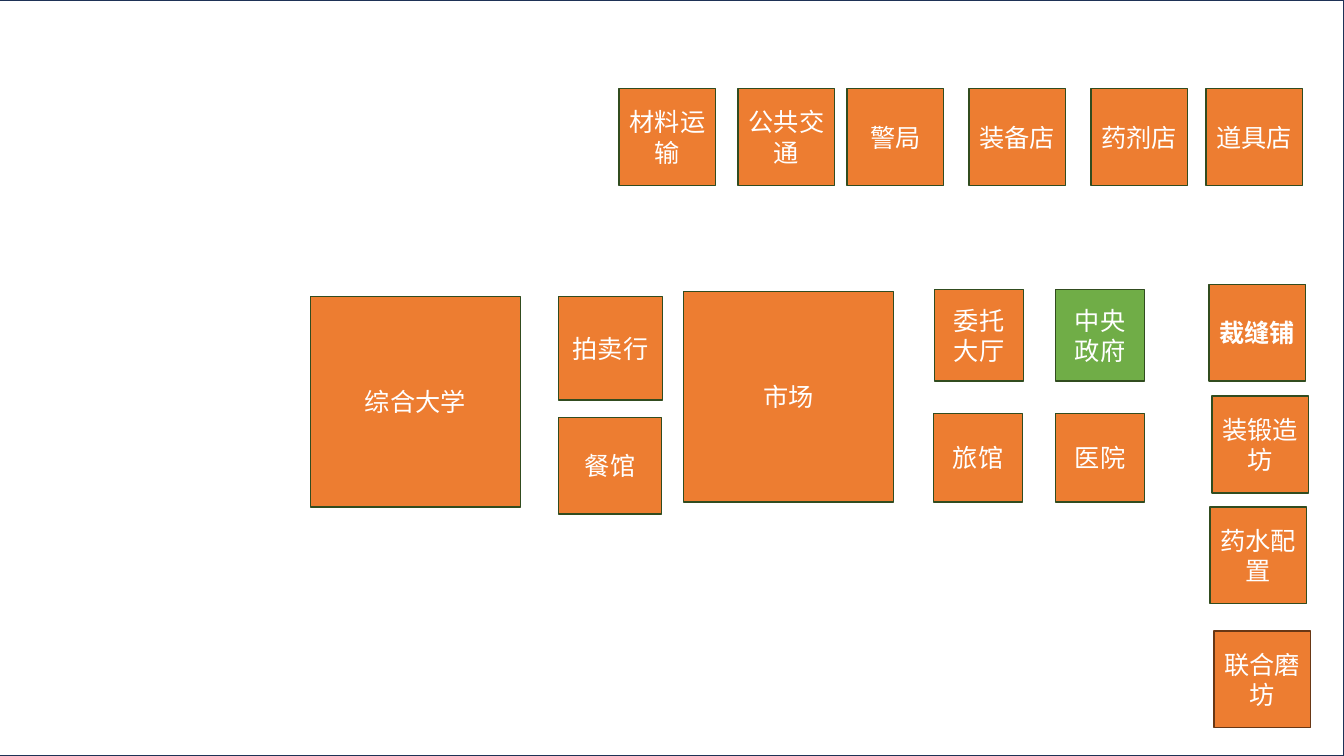
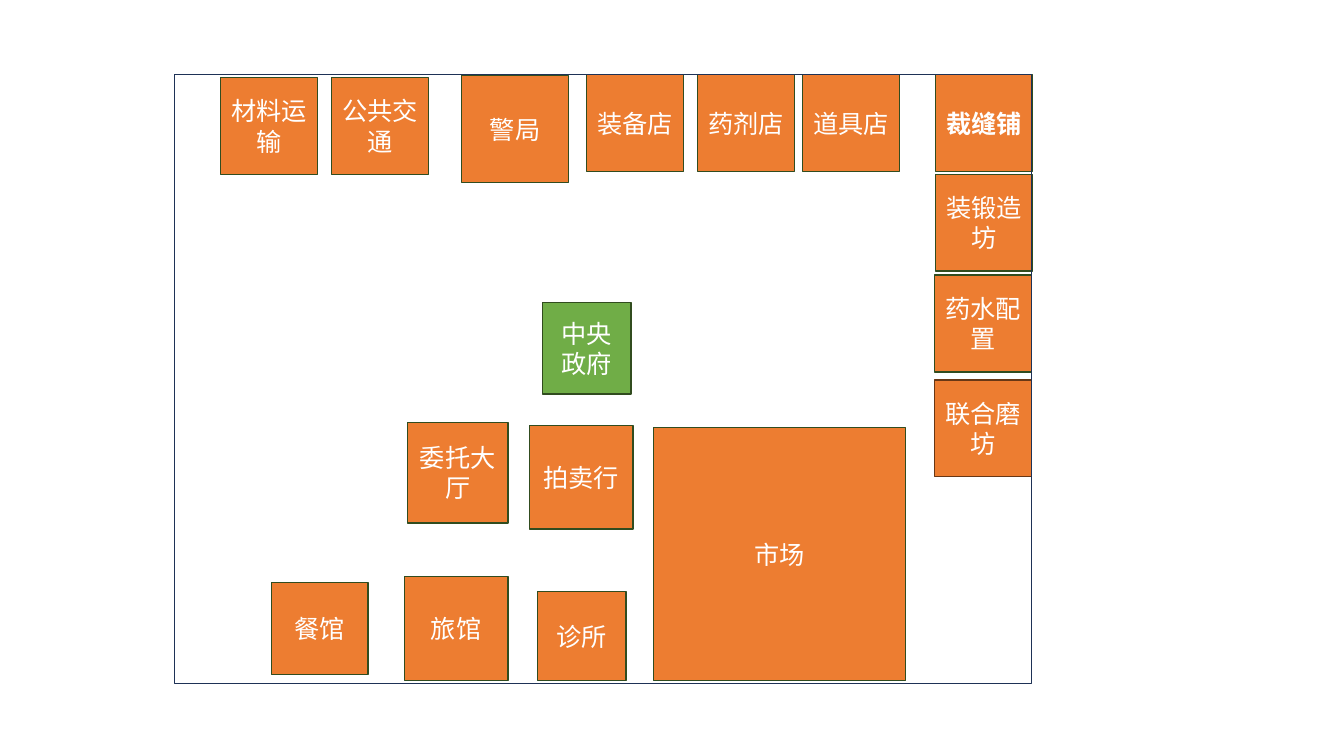
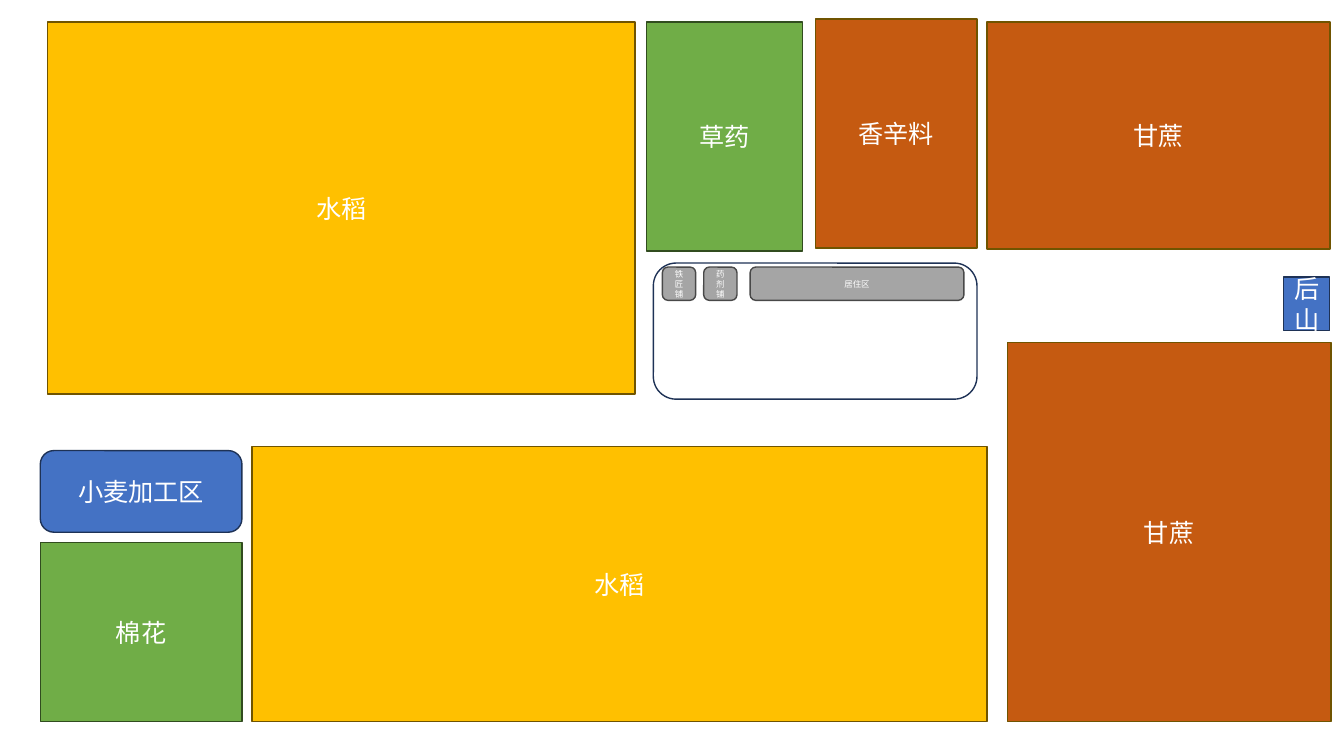
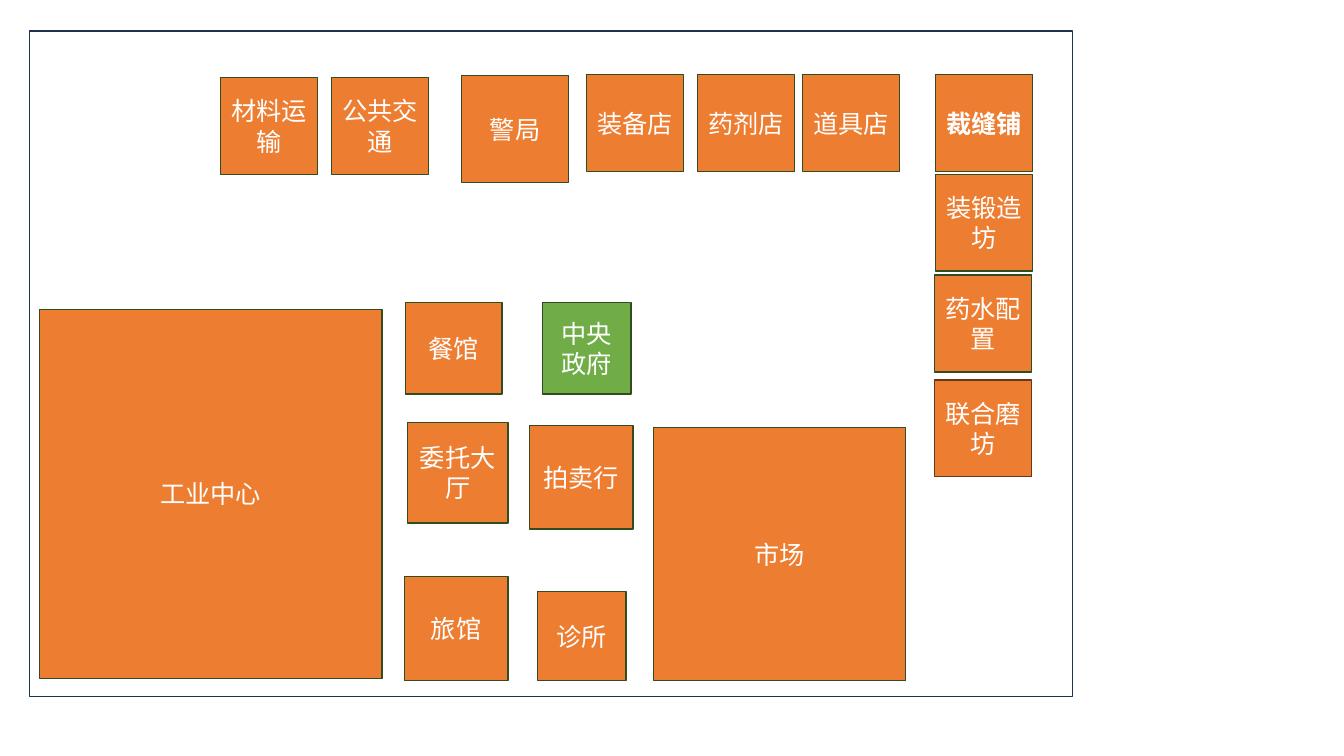
from pptx import Presentation, util as u
from pptx.dml.color import RGBColor
from pptx.enum import shapes, text
from pptx.oxml.ns import qn

FONT = "Noto Sans CJK SC"
SIDE = 0.96
COLORS = {
    "white": "FFFFFF",
    "orange": "ED7D31",
    "green": "70AD47",
    "gold": "FFC000",
    "rust": "C55A11",
    "blue": "4472C4",
    "gray": "A5A5A5",
    "pine": "314C1F",
    "brown": "683715",
    "olive": "705400",
    "navy": "1E3256",
    "coal": "484848",
}
EDGES = {
    "orange": "pine",
    "green": "pine",
    "gold": "olive",
    "rust": "olive",
    "blue": "navy",
    "gray": "coal",
}


def color(name):
    return RGBColor.from_string(COLORS[name])


def outline(page, at, edge, soft=False):
    kind = shapes.MSO_SHAPE.ROUNDED_RECTANGLE if soft else shapes.MSO_SHAPE.RECTANGLE
    shape = page.shapes.add_shape(kind, *[u.Inches(n) for n in at])
    shape.shadow.inherit = False
    shape.fill.background()
    shape.line.color.rgb = color(edge)
    shape.line.width = u.Pt(1)
    return shape


def write(shape, label, size, bold):
    frame = shape.text_frame
    frame.word_wrap = True
    frame.vertical_anchor = text.MSO_ANCHOR.MIDDLE
    para = frame.paragraphs[0]
    para.alignment = text.PP_ALIGN.CENTER
    run = para.add_run()
    run.text = label
    font = run.font
    font.name = FONT
    font.size = u.Pt(size)
    font.color.rgb = color("white")
    if bold:
        font.bold = True
    east = run._r.get_or_add_rPr().makeelement(qn("a:ea"), {"typeface": FONT})
    font._element.find(qn("a:latin")).addnext(east)


def block(page, label, at, fill="orange", edge=None, size=18, bold=False, soft=False):
    shape = outline(page, at, edge or EDGES[fill], soft)
    shape.fill.solid()
    shape.fill.fore_color.rgb = color(fill)
    write(shape, label, size, bold)


def row(page, top, items):
    for label, left in items:
        block(page, label, (left, top, SIDE, SIDE))


def works(page, spots):
    mill, forge, brew, tailor = spots
    block(page, "联合磨坊", (*mill, SIDE, SIDE), edge="brown")
    block(page, "装锻造坊", (*forge, SIDE, SIDE))
    block(page, "药水配置", (*brew, SIDE, SIDE))
    block(page, "裁缝铺", (*tailor, SIDE, SIDE), bold=True)


def plan(page):
    block(page, "中央政府", (10.47, 2.87, 0.88, 0.91), "green")
    works(page, [(12.04, 6.26), (12.02, 3.93), (12, 5.03), (11.99, 2.82)])
    row(page, 0.88, [
        ("材料运输", 6.14), ("公共交通", 7.32), ("警局", 8.4),
        ("装备店", 9.61), ("药剂店", 10.82), ("道具店", 11.96),
    ])
    for label, at in [
        ("拍卖行", (5.54, 2.94, 1.03, 1.03)),
        ("餐馆", (5.54, 4.14, 1.02, 0.96)),
        ("委托大厅", (9.27, 2.87, 0.88, 0.91)),
        ("旅馆", (9.26, 4.1, 0.88, 0.88)),
        ("医院", (10.47, 4.1, 0.88, 0.88)),
        ("市场", (6.78, 2.89, 2.08, 2.09)),
        ("综合大学", (3.08, 2.94, 2.08, 2.09)),
    ]:
        block(page, label, at)
    outline(page, (-0.05, 0, 13.38, 7.5), "navy")


def town(page, wall, diner):
    block(page, "中央政府", (5.38, 3, 0.88, 0.91), "green")
    works(page, [(9.27, 3.77), (9.28, 1.73), (9.27, 2.73), (9.28, 0.74)])
    row(page, 0.74, [("装备店", 5.82), ("药剂店", 6.92), ("道具店", 7.96)])
    row(page, 0.77, [("材料运输", 2.19), ("公共交通", 3.29)])
    outline(page, wall, "navy")
    for label, at in [
        ("拍卖行", (5.25, 4.22, 1.03, 1.03)),
        ("委托大厅", (4.04, 4.19, 1, 1)),
        ("旅馆", (4.01, 5.72, 1.03, 1.03)),
        ("市场", (6.48, 4.24, 2.5, 2.51)),
        ("餐馆", (*diner, SIDE, 0.91)),
        ("诊所", (5.33, 5.87, 0.88, 0.88)),
        ("警局", (4.58, 0.75, 1.06, 1.06)),
    ]:
        block(page, label, at)


def farm(page):
    for label, at, fill in [
        ("水稻", (0.47, 0.22, 5.83, 3.69), "gold"),
        ("草药", (6.41, 0.22, 1.55, 2.27), "green"),
        ("甘蔗", (9.99, 3.4, 3.21, 3.76), "rust"),
        ("水稻", (2.5, 4.43, 7.29, 2.73), "gold"),
        ("棉花", (0.4, 5.38, 2, 1.78), "green"),
        ("后山", (12.73, 2.75, 0.46, 0.53), "blue"),
        ("香辛料", (8.09, 0.19, 1.6, 2.27), "rust"),
        ("甘蔗", (9.79, 0.22, 3.4, 2.25), "rust"),
    ]:
        block(page, label, at, fill)
    block(page, "小麦加工区", (0.4, 4.47, 2, 0.81), "blue", soft=True)
    outline(page, (6.48, 2.61, 3.21, 1.35), "navy", soft=True)
    for label, left, width in [
        ("铁匠铺", 6.57, 0.33), ("药剂铺", 6.98, 0.33), ("居住区", 7.44, 2.12),
    ]:
        block(page, label, (left, 2.65, width, 0.33), "gray", size=6, soft=True)


def main():
    deck = Presentation()
    deck.slide_width = u.Inches(13.33)
    deck.slide_height = u.Inches(7.5)
    pages = [deck.slides.add_slide(deck.slide_layouts[6]) for _ in range(4)]
    plan(pages[0])
    town(pages[1], (1.73, 0.74, 8.5, 6.04), (2.69, 5.78))
    farm(pages[2])
    town(pages[3], (0.29, 0.31, 10.35, 6.6), (4.02, 3))
    block(pages[3], "工业中心", (0.39, 3.07, 3.4, 3.66))
    deck.save("out.pptx")


if __name__ == "__main__":
    main()
